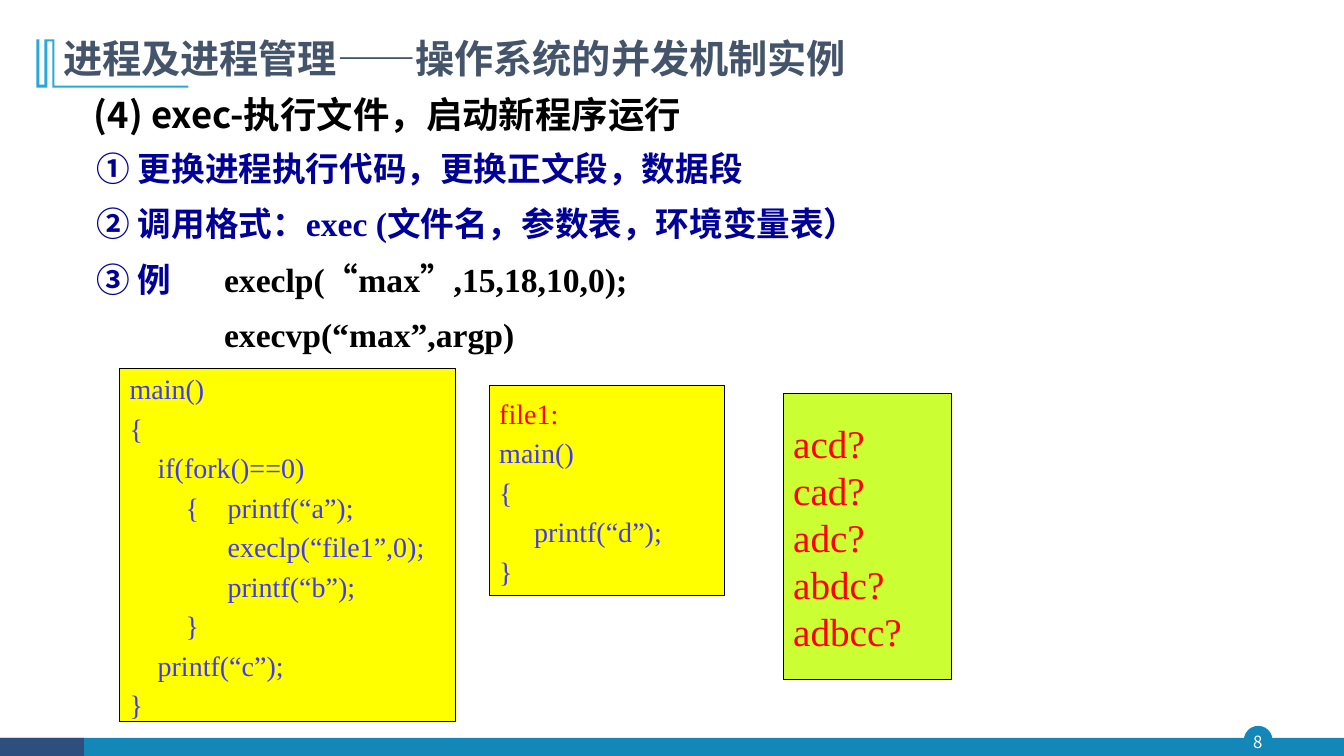
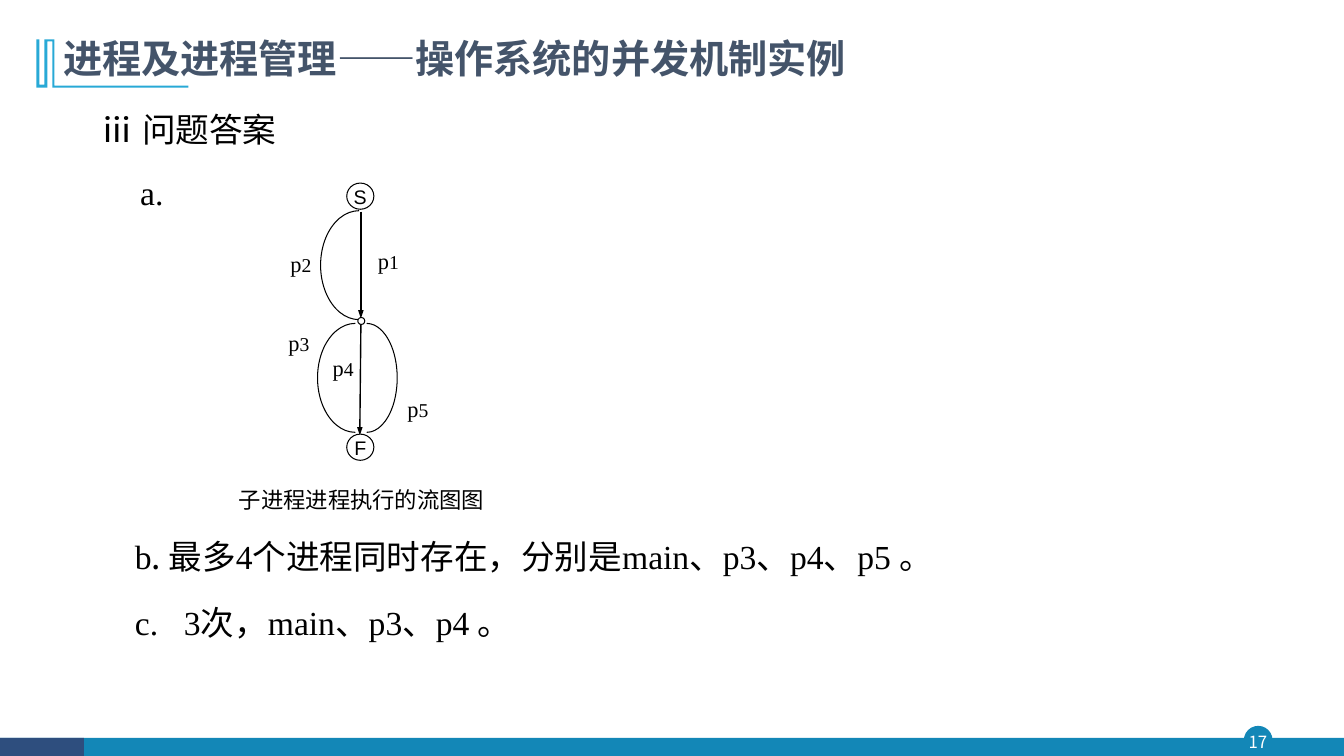
from lxml.etree import SubElement
from pptx import Presentation
from pptx.dml.color import RGBColor
from pptx.enum.shapes import MSO_CONNECTOR, MSO_SHAPE
from pptx.enum.text import MSO_ANCHOR, PP_ALIGN
from pptx.oxml.ns import qn
from pptx.util import Pt

COLORS = {
    "band": "1387B7", "corner": "2E4E7E", "bars": "28A9D6", "title": "44546A",
    "black": "000000", "white": "FFFFFF", "navy": "000099", "code": "4138FA",
    "red": "FF0000", "yellow": "FFFF00", "lime": "CCFF33",
}
SANS = "Noto Sans CJK SC"
SERIF = "Times New Roman"
TITLE = "进程及进程管理——操作系统的并发机制实例"
TITLE_BARS = [
    (38.9, 28.1), (38.9, 61.2), (134.6, 61.2), (134.6, 62.6), (37.4, 62.6),
    (37.4, 29.5), (33.8, 29.5), (33.8, 62.6), (25.9, 62.6), (25.9, 28.1),
    (28.1, 28.1), (28.1, 60.5), (31.7, 60.5), (31.7, 28.1),
]


def add_box(slide, kind, box, fill=None, line=None, width=0.75):
    """Add a preset shape, or a text box if kind is None; box is in points."""
    lengths = [Pt(value) for value in box]
    if kind is None:
        return slide.shapes.add_textbox(*lengths)
    shape = slide.shapes.add_shape(kind, *lengths)
    shape.shadow.inherit = False
    if fill:
        shape.fill.solid()
        shape.fill.fore_color.rgb = RGBColor.from_string(COLORS[fill])
    else:
        shape.fill.background()
    if line:
        shape.line.color.rgb = RGBColor.from_string(COLORS[line])
        shape.line.width = Pt(width)
    else:
        shape.line.fill.background()
    return shape


def write(shape, lines, size, font=SERIF, color="black", bold=False, spacing=1.0,
          before=0, align=PP_ALIGN.LEFT, anchor=MSO_ANCHOR.TOP, inset=True):
    """Fill a shape; a line is (left indent, hanging indent, [(text, color or None)]).

    Chinese text is always sans; font sets the Latin text.
    """
    frame = shape.text_frame
    frame.word_wrap = True
    frame.vertical_anchor = anchor
    if not inset:
        frame.margin_left = frame.margin_right = 0
        frame.margin_top = frame.margin_bottom = 0
    for index, (left, hanging, parts) in enumerate(lines):
        paragraph = frame.add_paragraph() if index else frame.paragraphs[0]
        paragraph.alignment = align
        paragraph.line_spacing = spacing
        paragraph.space_before = Pt(before)
        properties = paragraph._p.get_or_add_pPr()
        properties.set("marL", str(Pt(left)))
        properties.set("indent", str(-Pt(hanging)))
        for text, part_color in parts:
            run = paragraph.add_run()
            run.text = text
            run.font.size = Pt(size)
            run.font.bold = bold
            run.font.color.rgb = RGBColor.from_string(COLORS[part_color or color])
            run.font.name = font
            SubElement(run._r.get_or_add_rPr(), qn("a:ea")).set("typeface", SANS)
    return frame


presentation = Presentation()
presentation.slide_width = Pt(960)
presentation.slide_height = Pt(540)

# Shared title and footer
slides = []
for number in ("8", "17"):
    slide = presentation.slides.add_slide(presentation.slide_layouts[6])
    slides.append(slide)
    add_box(slide, MSO_SHAPE.OVAL, (889, 519, 19.5, 19.5), "band", "band", 1)
    add_box(slide, MSO_SHAPE.RECTANGLE, (0, 527, 960, 13), "band")
    add_box(slide, MSO_SHAPE.RECTANGLE, (0, 527, 60, 13), "corner")
    write(add_box(slide, None, (887, 519, 23, 22)), [(0, 0, [(number, None)])], 12,
          SANS, "white", align=PP_ALIGN.CENTER, anchor=MSO_ANCHOR.MIDDLE, inset=False)

    points = [(Pt(x), Pt(y)) for x, y in TITLE_BARS]
    builder = slide.shapes.build_freeform(*points[0], scale=1.0)
    builder.add_line_segments(points[1:], close=True)
    bars = builder.convert_to_shape()
    bars.shadow.inherit = False
    bars.fill.solid()
    bars.fill.fore_color.rgb = RGBColor.from_string(COLORS["bars"])
    bars.line.fill.background()
    write(add_box(slide, None, (38, 22, 755, 40.3)), [(0, 0, [(TITLE, None)])], 28,
          SANS, "title", True, 0.9, anchor=MSO_ANCHOR.BOTTOM)

exec_slide, answer_slide = slides

# exec: explanation
write(add_box(exec_slide, None, (60, 47, 491, 49)),
      [(0, 0, [("(4) exec-执行文件，启动新程序运行", None)])], 26, SANS,
      bold=True, spacing=1.5, before=10)
write(add_box(exec_slide, None, (62, 96, 635, 165)), [
    (0, 0, [("① 更换进程执行代码，更换正文段，数据段", "navy")]),
    (0, 0, [("② 调用格式：exec (文件名，参数表，环境变量表）", "navy")]),
    (91, 91, [("③ 例\t", "navy"), ("execlp(“max”,15,18,10,0);", None)]),
    (91, 0, [("execvp(“max”,argp)", None)]),
], 24, bold=True, spacing=Pt(34.8), before=4.8)

# exec: code and possible outputs
main_code = [
    (0, 0, "main()"), (0, 0, "{"), (20, 0, "if(fork()==0)"),
    (70, 30, "{\tprintf(“a”);"), (70, 0, "execlp(“file1”,0);"),
    (70, 0, "printf(“b”);"), (40, 0, "}"), (20, 0, "printf(“c”);"), (0, 0, "}"),
]
file_code = [(0, 0, "file1:"), (0, 0, "main()"), (0, 0, "{"),
             (25, 0, "printf(“d”);"), (0, 0, "}")]
outputs = [(0, 0, text) for text in ("acd?", "cad?", "adc?", "abdc?", "adbcc?")]
for box, fill, lines, size, color, spacing, before in (
    ((85.5, 263.3, 240, 252), "yellow", main_code, 20, "code", 1.1, 1.8),
    ((349.5, 275.3, 168, 150), "yellow", file_code, 20, "code", 1.1, 1.8),
    ((559.5, 281.3, 120, 204), "lime", outputs, 28, "red", 1.0, 0),
):
    panel = add_box(exec_slide, MSO_SHAPE.RECTANGLE, box, fill, "black")
    write(panel, [(left, hanging, [(text, "red" if text == "file1:" else None)])
                  for left, hanging, text in lines],
          size, color=color, spacing=spacing, before=before, anchor=MSO_ANCHOR.MIDDLE)

# Answers
write(add_box(answer_slide, None, (65, 65.5, 603, 45)),
      [(0, 0, [("ⅲ 问题答案", None)])], 24, SANS, spacing=1.3)
write(add_box(answer_slide, None, (93, 110.5, 74, 45)),
      [(0, 0, [("a.", None)])], 24, spacing=1.3, before=9)
answers = write(add_box(answer_slide, None, (89.3, 371, 602, 98)), [
    (27, 27, [("b", None), (". ", None),
              ("最多4个进程同时存在，分别是main、p3、p4、p5 。", None)]),
    (35, 35, [("c.\t3次，main、p3、p4 。", None)]),
], 24, spacing=Pt(37), before=10, align=PP_ALIGN.JUSTIFY)
answers.paragraphs[0].runs[1].font.name = SANS
write(add_box(answer_slide, None, (163.5, 340.8, 197, 30)),
      [(0, 0, [("子进程进程执行的流图图", None)])], 16, spacing=Pt(22))

# Flow graph
for digit, left, top in (("1", 270, 176.4), ("2", 207.4, 179), ("3", 206, 235.4),
                         ("4", 237.6, 253.2), ("5", 291, 282.2)):
    label = add_box(answer_slide, MSO_SHAPE.RECTANGLE, (left, top, 26.6, 25.2), "white")
    frame = write(label, [(0, 0, [("p", None), (digit, None)])], 16, inset=False)
    frame.paragraphs[0].runs[1].font.size = Pt(14)

LEFT_HALF, RIGHT_HALF = (54, 162), (162, 54)  # arc angles in units of 100000/60000 degree
for left, top, width, half in ((229, 150.5, 55, LEFT_HALF), (226.8, 231, 54, LEFT_HALF),
                               (240.2, 231, 43.5, RIGHT_HALF)):
    arc = add_box(answer_slide, MSO_SHAPE.ARC, (left, top, width, 77.8), line="black")
    arc.adjustments[0], arc.adjustments[1] = half

for start_x, start_y, end_x, end_y in ((257.8, 151.2, 257.8, 227.5),
                                       (257.8, 231.8, 257, 311)):
    arrow = answer_slide.shapes.add_connector(
        MSO_CONNECTOR.STRAIGHT, Pt(start_x), Pt(start_y), Pt(end_x), Pt(end_y))
    arrow.line.color.rgb = RGBColor.from_string(COLORS["black"])
    arrow.line.width = Pt(1)
    head = SubElement(arrow.line._get_or_add_ln(), qn("a:tailEnd"))
    head.set("type", "triangle")
    head.set("w", "sm")
    SubElement(arrow._element.spPr, qn("a:effectLst"))

add_box(answer_slide, MSO_SHAPE.OVAL, (255.6, 226.8, 5, 5), "white", "black")
for name, top in (("S", 130.8), ("F", 310.1)):
    node = add_box(answer_slide, MSO_SHAPE.OVAL, (247.7, top, 19.4, 18.7), "white", "black")
    write(node, [(0, 0, [(name, None)])], 14, "Arial", spacing=0.96,
          align=PP_ALIGN.CENTER, inset=False)

presentation.save("out.pptx")
